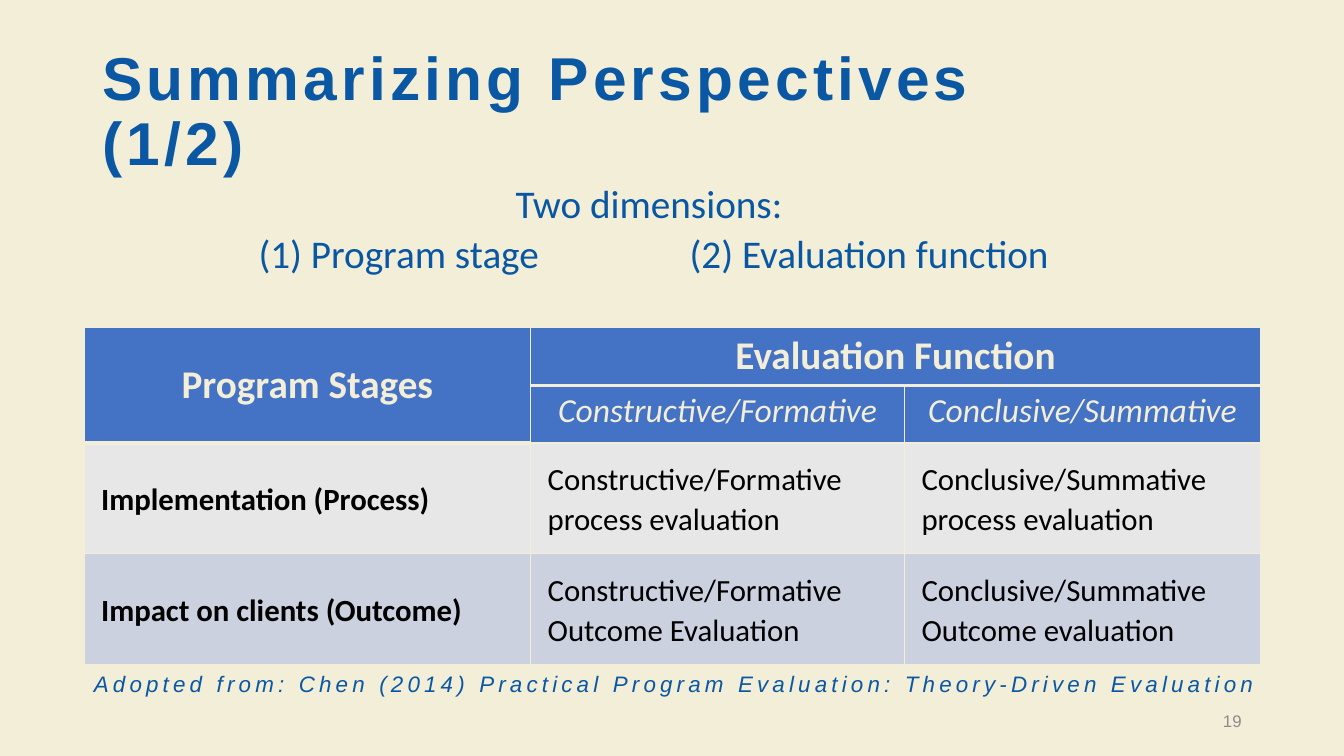
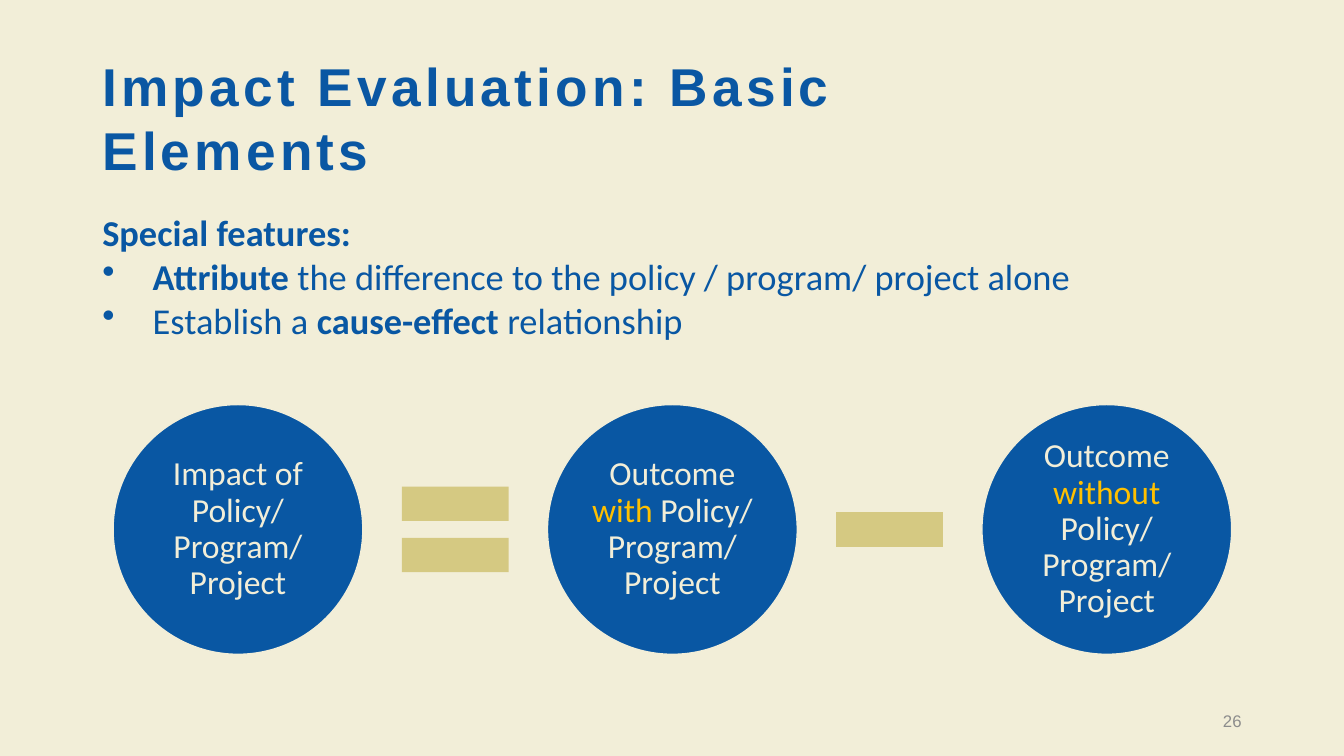
from lxml.etree import SubElement
from pptx import Presentation
from pptx.dml.color import RGBColor
from pptx.enum.shapes import MSO_SHAPE as Preset
from pptx.enum.text import MSO_ANCHOR as Anchor, PP_ALIGN as Align
from pptx.oxml.ns import qn
from pptx.util import Pt

CREAM, BLUE, GOLD, SAND = "F2EED8", "0957A3", "FFC000", "D5C982"
TITLE_BLUE, HEADER, GREY, BLACK = "0A57A3", "4472C4", "8C8C8C", "000000"
TITLE = {"name": "Arial", "bold": True, "color": TITLE_BLUE, "tracking": 300}
SOURCE = {"name": "Arial", "size": Pt(16), "italic": True,
          "color": TITLE_BLUE, "tracking": 300}
PAGE_NUMBER = {"name": "Arial", "size": Pt(12), "color": GREY}
BODY = {"name": "Calibri", "color": BLUE}
LABEL = {"name": "Calibri", "size": Pt(24), "color": CREAM}
CELL = {"name": "Calibri", "size": Pt(22), "color": BLACK, "bold": False}
HEADER_MARGINS, CELL_MARGINS = (7.2, 3.6), (12.24, 0)


def color(value):
    return RGBColor.from_string(value)


def format_run(run, style):
    for name, value in style.items():
        if name == "color":
            run.font.color.rgb = color(value)
        elif name == "tracking":
            run.font._element.set("spc", str(value))
        else:
            setattr(run.font, name, value)


def add_bullet(paragraph):
    properties = paragraph._p.get_or_add_pPr()
    properties.set("marL", str(Pt(36)))
    properties.set("indent", str(Pt(-36)))
    SubElement(properties, qn("a:buChar"), char="•")


def add_tabs(paragraph, positions):
    tabs = SubElement(paragraph._p.get_or_add_pPr(), qn("a:tabLst"))
    for position in positions:
        SubElement(tabs, qn("a:tab"), pos=str(Pt(position)), algn="l")


def fill_paragraph(paragraph, runs, style, **layout):
    for name, value in layout.items():
        setattr(paragraph, name, value)
    for text, changes in runs:
        run = paragraph.add_run()
        run.text = text
        format_run(run, style | changes)


def add_frame(slide, left, top, width, height, anchor=Anchor.MIDDLE):
    box = slide.shapes.add_textbox(Pt(left), Pt(top), Pt(width), Pt(height))
    frame = box.text_frame
    frame.word_wrap = True
    frame.vertical_anchor = anchor
    return frame


def add_line(slide, box, text, style, **layout):
    frame = add_frame(slide, *box)
    fill_paragraph(frame.paragraphs[0], [(text, {})], style, **layout)


def add_slide(presentation, title, title_box, size, spacing, number):
    slide = presentation.slides.add_slide(presentation.slide_layouts[6])
    slide.background.fill.solid()
    slide.background.fill.fore_color.rgb = color(CREAM)
    add_line(slide, title_box, title, TITLE | {"size": Pt(size)},
             line_spacing=spacing)
    add_line(slide, (678, 500.4, 216, 28.8), number, PAGE_NUMBER,
             alignment=Align.RIGHT)
    return slide


def add_preset(slide, preset, left, top, size, fill):
    shape = slide.shapes.add_shape(preset, Pt(left), Pt(top), Pt(size), Pt(size))
    shape.shadow.inherit = False
    shape.fill.solid()
    shape.fill.fore_color.rgb = color(fill)
    shape.line.fill.background()
    return shape


def add_circle(slide, left, top, size, runs):
    circle = add_preset(slide, Preset.OVAL, left, top, size, BLUE)
    circle.line.color.rgb = color(CREAM)
    circle.line.width = Pt(1)
    frame = circle.text_frame
    frame.word_wrap = True
    frame.vertical_anchor = Anchor.MIDDLE
    for side in ("left", "right", "top", "bottom"):
        setattr(frame, f"margin_{side}", Pt(2.16))
    fill_paragraph(frame.paragraphs[0], runs, LABEL,
                   alignment=Align.CENTER, line_spacing=0.9)


def set_borders(cell, bottom):
    properties = cell._tc.get_or_add_tcPr()
    for side, width in (("L", 1), ("R", 1), ("T", 1), ("B", bottom)):
        line = SubElement(properties, qn(f"a:ln{side}"), w=str(Pt(width)))
        fill = SubElement(line, qn("a:solidFill"))
        SubElement(fill, qn("a:srgbClr"), val=CREAM)


def format_cell(cell, fill, margins, anchor, bottom=1):
    set_borders(cell, bottom)
    cell.fill.solid()
    cell.fill.fore_color.rgb = color(fill)
    cell.vertical_anchor = anchor
    horizontal, vertical = margins
    cell.margin_left = cell.margin_right = Pt(horizontal)
    cell.margin_top = cell.margin_bottom = Pt(vertical)


def add_header_row(table, row, texts, style, anchor, bottom):
    for column, text in enumerate(texts):
        cell = table.cell(row, column)
        format_cell(cell, HEADER, HEADER_MARGINS, anchor, bottom)
        if text:
            fill_paragraph(cell.text_frame.paragraphs[0], [(text, {})],
                           LABEL | style, alignment=Align.CENTER)


def add_body_row(table, row, texts, fill):
    for column, text in enumerate(texts):
        cell = table.cell(row, column)
        format_cell(cell, fill, CELL_MARGINS, Anchor.MIDDLE)
        fill_paragraph(cell.text_frame.paragraphs[0],
                       [(text, {"bold": column == 0})], CELL,
                       line_spacing=1.07, space_after=Pt(8))


def add_evaluation_table(slide):
    widths, heights = (319, 267.1, 254.2), (41.4, 41, 79.2, 79.2)
    table = slide.shapes.add_table(
        len(heights), len(widths), Pt(60), Pt(234),
        Pt(sum(widths)), Pt(sum(heights))).table
    table.first_row = table.horz_banding = False
    for column, width in zip(table.columns, widths):
        column.width = Pt(width)
    for row, height in zip(table.rows, heights):
        row.height = Pt(height)
    add_header_row(table, 0, ("Program Stages", "Evaluation Function", ""),
                   {"size": Pt(28), "bold": True}, Anchor.MIDDLE, 3)
    add_header_row(table, 1, ("", "Constructive/Formative", "Conclusive/Summative"),
                   {"italic": True, "bold": False}, Anchor.TOP, 1)
    table.cell(0, 0).merge(table.cell(1, 0))
    table.cell(0, 1).merge(table.cell(0, 2))
    add_body_row(table, 2, ("Implementation (Process)",
                            "Constructive/Formative process evaluation",
                            "Conclusive/Summative process evaluation"), "E7E7E7")
    add_body_row(table, 3, ("Impact on clients (Outcome)",
                            "Constructive/Formative Outcome Evaluation",
                            "Conclusive/Summative Outcome evaluation"), "CCD1E0")


def add_dimensions(slide):
    frame = add_frame(slide, 66, 121.7, 801.4, 86.3)
    style = BODY | {"size": Pt(28)}
    spacing = {"line_spacing": 0.9, "space_after": Pt(6)}
    fill_paragraph(frame.paragraphs[0], [("Two dimensions: ", {})], style,
                   alignment=Align.CENTER, **spacing)
    paragraph = frame.add_paragraph()
    add_tabs(paragraph, (111.6, 419.5))
    fill_paragraph(paragraph,
                   [("\t(1) Program stage\t(2) Evaluation function", {})],
                   style, alignment=Align.LEFT, **spacing)


def add_features(slide):
    frame = add_frame(slide, 66, 146.9, 828, 126, Anchor.TOP)
    style = BODY | {"size": Pt(26)}
    strong = {"bold": True}
    fill_paragraph(frame.paragraphs[0], [("Special features:", strong)], style)
    for runs in (
        [("Attribute", strong),
         (" the difference to the policy / program/ project alone", {})],
        [("Establish a ", {}), ("cause-effect", strong), (" relationship", {})],
    ):
        paragraph = frame.add_paragraph()
        add_bullet(paragraph)
        fill_paragraph(paragraph, runs, style)


def add_equation(slide):
    left, top, diameter, pitch, sign_size = 80.8, 289, 178.4, 310.3, 103.8
    highlight = {"color": GOLD}
    subject = ("Policy/ Program/ Project", {})
    terms = (
        [("Impact of Policy/ Program/ Project", {})],
        [("Outcome ", {}), ("with ", highlight), subject],
        [("Outcome ", {}), ("without ", highlight), subject],
    )
    for index, runs in enumerate(terms):
        add_circle(slide, left + index * pitch, top, diameter, runs)
    sign_left = left + (diameter + pitch - sign_size) / 2
    sign_top = top + (diameter - sign_size) / 2
    for index, preset in enumerate((Preset.MATH_EQUAL, Preset.MATH_MINUS)):
        add_preset(slide, preset, sign_left + index * pitch, sign_top,
                   sign_size, SAND)


def main():
    presentation = Presentation()
    presentation.slide_width, presentation.slide_height = Pt(960), Pt(540)

    perspectives = add_slide(presentation, "Summarizing Perspectives (1/2)",
                             (66, 28.8, 730.8, 104.4), 43.2, 0.9, "19")
    add_evaluation_table(perspectives)
    add_dimensions(perspectives)
    add_line(perspectives, (60, 437, 915, 104.4),
             "Adopted from: Chen (2014) Practical Program Evaluation: "
             "Theory-Driven Evaluation", SOURCE, line_spacing=0.9)

    impact = add_slide(presentation, "Impact Evaluation: Basic Elements",
                       (66, 31.7, 733.7, 104.4), 38, 1.0, "26")
    add_features(impact)
    add_equation(impact)
    presentation.save("out.pptx")


if __name__ == "__main__":
    main()
